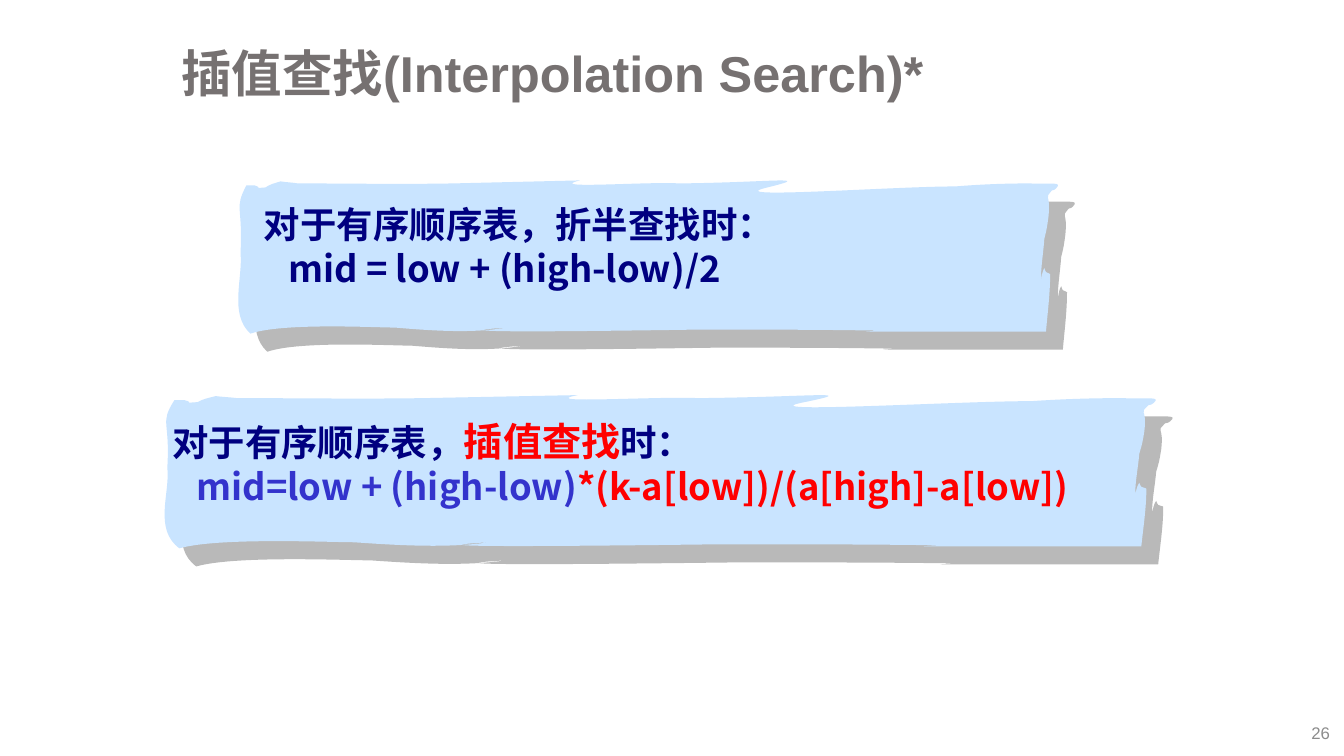
from dataclasses import dataclass

import pptx
import pptx.dml.color
import pptx.enum.text
import pptx.oxml
import pptx.oxml.ns
import pptx.util

PX = 9144  # EMU in one px, 100 px to the inch
ALIGN = pptx.enum.text.PP_ALIGN
ANCHOR = pptx.enum.text.MSO_ANCHOR
NS = pptx.oxml.ns.nsdecls("a")


@dataclass(frozen=True)
class Theme:
    latin: str = "Arial"
    chinese: str = "Noto Sans CJK SC"
    title: str = "767171"
    number: str = "8C8C8C"
    brush: str = "C9E4FF"
    shadow: str = "B9B9B9"
    navy: str = "000080"
    blue: str = "3333CC"
    red: str = "FF0000"
    title_pt: int = 36
    number_pt: int = 12
    body_pt: int = 26
    key_pt: int = 28


THEME = Theme()


@dataclass(frozen=True)
class Box:
    left: int
    top: int
    width: int
    height: int

    def emu(self) -> dict[str, int]:
        return {side: px(getattr(self, side)) for side in ("left", "top", "width", "height")}


@dataclass(frozen=True)
class Words:
    text: str
    color: str = THEME.navy
    size: int = THEME.body_pt
    font: str = THEME.chinese
    bold: bool = True


@dataclass(frozen=True)
class Card:
    brush: Box
    text: Box
    heading: list[Words]
    formula: list[Words]


CARDS = [
    Card(Box(227, 174, 827, 157), Box(243, 196, 774, 98),
         [Words("对于有序顺序表，折半查找时：")],
         [Words("mid = low + (high-low)/2")]),
    Card(Box(152, 387, 1000, 157), Box(152, 409, 960, 101),
         [Words("对于有序顺序表，"),
          Words("插值查找", THEME.red, THEME.key_pt),
          Words("时：")],
         [Words("mid=low + (high-low)", THEME.blue),
          Words("*(k-a[low])/(a[high]-a[low])", THEME.red)]),
]
HEADING_INDENT, FORMULA_INDENT = 9, 33

# Brush stroke on a 1000 x 157 grid: a start, then two controls and an end per curve
BRUSH_WIDTH, BRUSH_HEIGHT = 1000, 157
BRUSH_START = (83, 8)
BRUSH_CURVES = [
    (151, 8, 198, 9, 269, 8), (320, 7, 371, 6, 421, 5),
    (377, 14, 503, 6, 540, 8), (652, 7, 704, 0, 646, 12),
    (584, 24, 796, 11, 871, 11), (901, 9, 930, 8, 960, 8),
    (988, 9, 1000, 6, 992, 13), (991, 14, 989, 15, 987, 15),
    (977, 25, 986, 16, 983, 41), (981, 53, 981, 53, 978, 63),
    (977, 76, 974, 90, 974, 103), (974, 105, 975, 98, 976, 96),
    (976, 95, 977, 94, 978, 92), (979, 94, 979, 95, 980, 96),
    (981, 97, 985, 97, 985, 98), (985, 117, 982, 136, 980, 155),
    (909, 155, 837, 155, 765, 155), (760, 155, 783, 154, 778, 154),
    (707, 153, 636, 153, 565, 153), (550, 153, 209, 158, 333, 151),
    (292, 157, 242, 154, 199, 151), (176, 151, 64, 146, 26, 157),
    (0, 138, 17, 102, 14, 77), (17, 29, 6, 34, 21, 10),
    (24, 10, 28, 10, 31, 10), (43, 13, 26, 13, 44, 12),
    (49, 9, 54, 8, 62, 6), (70, 7, 75, 7, 83, 8),
    (83, 8, 101, 9, 83, 8),
]


def px(value: float) -> int:
    return round(value * PX)


def rgb(color: str) -> pptx.dml.color.RGBColor:
    return pptx.dml.color.RGBColor.from_string(color)


def place(shape, box: Box) -> None:
    for side, value in box.emu().items():
        setattr(shape, side, value)


def bend(brush) -> None:
    """Turn the straight segments into curves on the brush grid."""
    outline = brush._element.find(".//" + pptx.oxml.ns.qn("a:path"))
    outline.set("w", str(BRUSH_WIDTH))
    outline.set("h", str(BRUSH_HEIGHT))
    start = outline.find(".//" + pptx.oxml.ns.qn("a:pt"))
    for axis, value in zip("xy", BRUSH_START):
        start.set(axis, str(value))
    segments = outline.findall(pptx.oxml.ns.qn("a:lnTo"))
    for segment, curve in zip(segments, BRUSH_CURVES):
        points = "".join(f'<a:pt x="{x}" y="{y}"/>' for x, y in zip(curve[::2], curve[1::2]))
        outline.replace(segment, pptx.oxml.parse_xml(
            f"<a:cubicBezTo {NS}>{points}</a:cubicBezTo>"))


def draw_brush(shapes, box: Box) -> None:
    outline = shapes.build_freeform(*BRUSH_START, scale=PX)
    outline.add_line_segments([curve[4:] for curve in BRUSH_CURVES])
    brush = outline.convert_to_shape()
    bend(brush)
    place(brush, box)
    brush.fill.solid()
    brush.fill.fore_color.rgb = rgb(THEME.brush)
    brush.line.fill.background()
    brush.shadow.inherit = False
    effects = brush._element.spPr.find(pptx.oxml.ns.qn("a:effectLst"))
    effects.append(pptx.oxml.parse_xml(
        f'<a:outerShdw {NS} blurRad="0" dist="224790" dir="2820000" algn="ctr" '
        f'rotWithShape="0"><a:srgbClr val="{THEME.shadow}"/></a:outerShdw>'))


def write(paragraph, words: list[Words], indent: int = 0, **layout) -> None:
    if indent:
        paragraph._p.get_or_add_pPr().set("marL", str(px(indent)))
    for name, value in layout.items():
        setattr(paragraph, name, value)
    for part in words:
        run = paragraph.add_run()
        run.text = part.text
        look = {"size": pptx.util.Pt(part.size), "name": part.font, "bold": part.bold}
        for name, value in look.items():
            setattr(run.font, name, value)
        run.font.color.rgb = rgb(part.color)
        east_asian = pptx.oxml.parse_xml(f'<a:ea {NS} typeface="{THEME.chinese}"/>')
        run._r.rPr.find(pptx.oxml.ns.qn("a:latin")).addnext(east_asian)


def draw_card(shapes, card: Card) -> None:
    group = shapes.add_group_shape()
    draw_brush(group.shapes, card.brush)
    frame = group.shapes.add_textbox(**card.text.emu()).text_frame
    frame.word_wrap = True
    frame.auto_size = pptx.enum.text.MSO_AUTO_SIZE.SHAPE_TO_FIT_TEXT
    write(frame.paragraphs[0], card.heading, HEADING_INDENT, alignment=ALIGN.JUSTIFY)
    write(frame.add_paragraph(), card.formula, FORMULA_INDENT, alignment=ALIGN.JUSTIFY)
    # Fit the group to its parts after they have been moved
    group._element.recalculate_extents()


def main() -> None:
    deck = pptx.Presentation()
    deck.slide_width, deck.slide_height = px(1333), px(750)
    slide = deck.slides.add_slide(deck.slide_layouts[5])

    # Title
    title = slide.shapes.title
    place(title, Box(170, 33, 1125, 85))
    title.text_frame.vertical_anchor = ANCHOR.MIDDLE
    write(title.text_frame.paragraphs[0],
          [Words("插值查找(Interpolation Search)*", THEME.title, THEME.title_pt, THEME.latin)],
          alignment=ALIGN.LEFT, line_spacing=0.9)

    # Page number
    number = slide.shapes.add_textbox(**Box(1029, 711, 300, 31).emu()).text_frame
    number.word_wrap = True
    number.vertical_anchor = ANCHOR.MIDDLE
    write(number.paragraphs[0],
          [Words("26", THEME.number, THEME.number_pt, THEME.latin, False)],
          alignment=ALIGN.RIGHT)

    # Brush-stroke cards
    for card in CARDS:
        draw_card(slide.shapes, card)

    deck.save("out.pptx")


if __name__ == "__main__":
    main()
